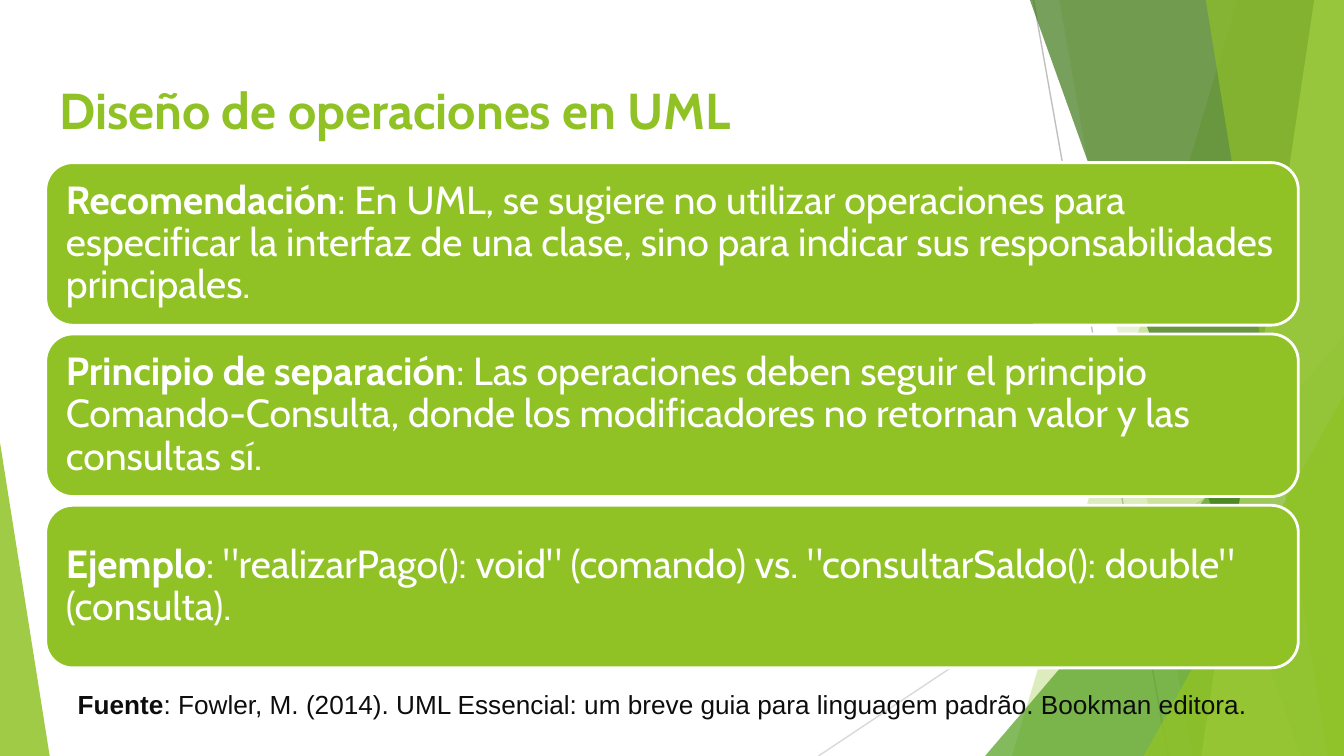
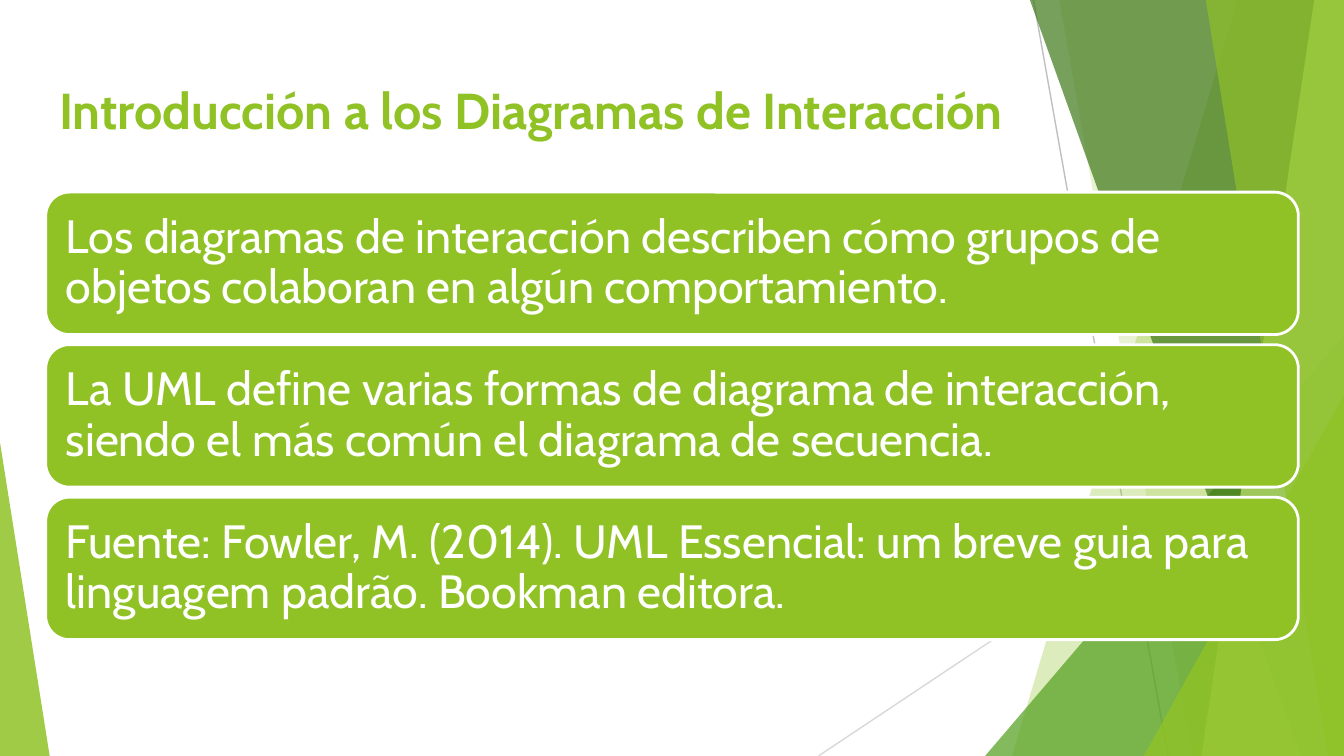
from lxml import etree
from pptx import Presentation
from pptx.dml.color import RGBColor
from pptx.enum.shapes import MSO_CONNECTOR, MSO_SHAPE
from pptx.enum.text import MSO_ANCHOR, MSO_AUTO_SIZE, PP_ALIGN
from pptx.oxml.ns import qn
from pptx.util import Pt

LINE = MSO_CONNECTOR.STRAIGHT
TRIANGLE, ROUNDED = MSO_SHAPE.ISOSCELES_TRIANGLE, MSO_SHAPE.ROUNDED_RECTANGLE
TOP, MIDDLE = MSO_ANCHOR.TOP, MSO_ANCHOR.MIDDLE
NO_FIT = MSO_AUTO_SIZE.NONE
LEFT = PP_ALIGN.LEFT

PX = 4572  # EMU per px, 200 px to the inch
W, H = 2000, 1125
MARGIN, CONTENT_W = 68, 1864
COLORS = {
    "green": "90C226", "mid": "54A021", "dark": "3F7819", "lime": "C0E474",
    "line": "BFBFBF", "pale_line": "D9D9D9", "white": "FFFFFF", "ink": "0D0D0D",
}


def px(*lengths):
    return [n * PX for n in lengths]


def rgb(name):
    return RGBColor.from_string(COLORS[name])


def fill_shape(sp, color, alpha=100):
    sp.shadow.inherit = False
    sp.fill.solid()
    sp.fill.fore_color.rgb = rgb(color)
    if alpha < 100:
        clr = sp._element.spPr.find(qn("a:solidFill"))[0]
        etree.SubElement(clr, qn("a:alpha")).set("val", str(alpha * 1000))


def write(tf, runs, size, color, font="Cabin", anchor=TOP, inset=20, spacing=1.0):
    """Fill a text frame with one paragraph of (text, bold) runs."""
    tf.word_wrap = True
    tf.auto_size = NO_FIT
    tf.vertical_anchor = anchor
    tf.margin_left = tf.margin_right = tf.margin_top = tf.margin_bottom = inset * PX
    p = tf.paragraphs[0]
    p.alignment = LEFT
    p.line_spacing = spacing
    for text, bold in runs:
        r = p.add_run()
        r.text = text
        r.font.name, r.font.size, r.font.bold = font, Pt(size), bold
        r.font.color.rgb = rgb(color)


# Shared background facets
def add_line(s, start, end, color):
    cx = s.shapes.add_connector(LINE, *px(*start, *end))
    cx.line.color.rgb = rgb(color)
    cx.line.width = Pt(0.75)
    etree.SubElement(cx._element.spPr, qn("a:effectLst"))
    return cx


def add_band(s, top_x, bottom_x, color, alpha):
    """Facet from a slanted left edge to the right side of the slide."""
    fb = s.shapes.build_freeform(top_x, -2, scale=PX)
    fb.add_line_segments([(W, -2), (W, H), (bottom_x, H)], close=True)
    sp = fb.convert_to_shape()
    fill_shape(sp, color, alpha)
    sp.line.fill.background()
    return sp


def add_triangle(s, x, y, w, apex, color, alpha):
    sp = s.shapes.add_shape(TRIANGLE, *px(x, y, w, H - y))
    sp.adjustments[0] = apex
    fill_shape(sp, color, alpha)
    sp.line.fill.background()
    return sp


def add_background(s, layout):
    """Draw the facets, then move them to the layout that all slides share."""
    facets = [
        add_line(s, (1538, 0), (1738, H), "line"),
        add_line(s, (W, 604), (1218, H), "pale_line"),
        add_band(s, 1842, 1506, "green", 30),
        add_band(s, 1576, 1774, "green", 20),
        add_triangle(s, 1466, 500, 534, 1, "mid", 72),
        add_band(s, 1532, 1936, "dark", 70),
        add_band(s, 1956, 1788, "lime", 70),
        add_band(s, 1794, 1976, "green", 65),
        add_triangle(s, 1702, 588, 298, 1, "green", 80),
        add_triangle(s, 0, 658, 74, 0, "green", 85),
    ]
    tree = layout.shapes._spTree
    for i, sp in enumerate(facets):
        sp._element.xpath(".//p:cNvPr")[0].set("id", str(100 + i))
        tree.insert(2 + i, sp._element)


# Slide content
def add_title(s, text):
    title = s.shapes.title
    title.left, title.top, title.width, title.height = px(MARGIN, 98, CONTENT_W, 126)
    write(title.text_frame, [(text, True)], 27, "green")


def add_cards(s, cards, top, height, gap, size, inset):
    for i, runs in enumerate(cards):
        y = top + i * (height + gap)
        sp = s.shapes.add_shape(ROUNDED, *px(MARGIN, y, CONTENT_W, height))
        fill_shape(sp, "green")
        sp.line.color.rgb = rgb("white")
        sp.line.width = Pt(1.5)
        write(sp.text_frame, runs, size, "white", anchor=MIDDLE, inset=inset, spacing=0.9)


def add_source(s, runs):
    tb = s.shapes.add_textbox(*px(96, 1014, 1880, 68))
    write(tb.text_frame, runs, 14, "ink", font="Arial", inset=10)
    tb.text_frame.margin_left = 20 * PX


def main():
    prs = Presentation()
    prs.slide_width, prs.slide_height = px(W, H)
    layout = prs.slide_layouts[5]
    reference = (": Fowler, M. (2014). UML Essencial: um breve guia para "
                 "linguagem padrão. Bookman editora.")

    # Slide 1: operations
    s = prs.slides.add_slide(layout)
    add_background(s, layout)
    add_title(s, "Diseño de operaciones en UML")
    add_cards(s, [
        [("Recomendación", True),
         (": En UML, se siguiere no utilizar operaciones para especificar la interfaz "
          "de una clase, sino para indicar sus responsabilidades principales."
          .replace("siguiere", "sugiere"), False)],
        [("Principio de separación", True),
         (": Las operaciones deben seguir el principio Comando-Consulta, donde los "
          "modificadores no retornan valor y las consultas sí.", False)],
        [("Ejemplo", True),
         (': "realizarPago(): void" (comando) vs. "consultarSaldo(): double" '
          "(consulta).", False)],
    ], top=242, height=242, gap=13, size=21, inset=18)
    add_source(s, [("Fuente", True), (reference, False)])

    # Slide 2: interaction diagrams
    s = prs.slides.add_slide(layout)
    add_title(s, "Introducción a los Diagramas de Interacción")
    add_cards(s, [
        [("Los diagramas de interacción describen cómo grupos de objetos colaboran "
          "en algún comportamiento.", False)],
        [("La UML define varias formas de diagrama de interacción, siendo el más "
          "común el diagrama de secuencia.", False)],
        [("Fuente" + reference, False)],
    ], top=286, height=212, gap=15, size=25, inset=20)

    prs.save("out.pptx")


if __name__ == "__main__":
    main()
